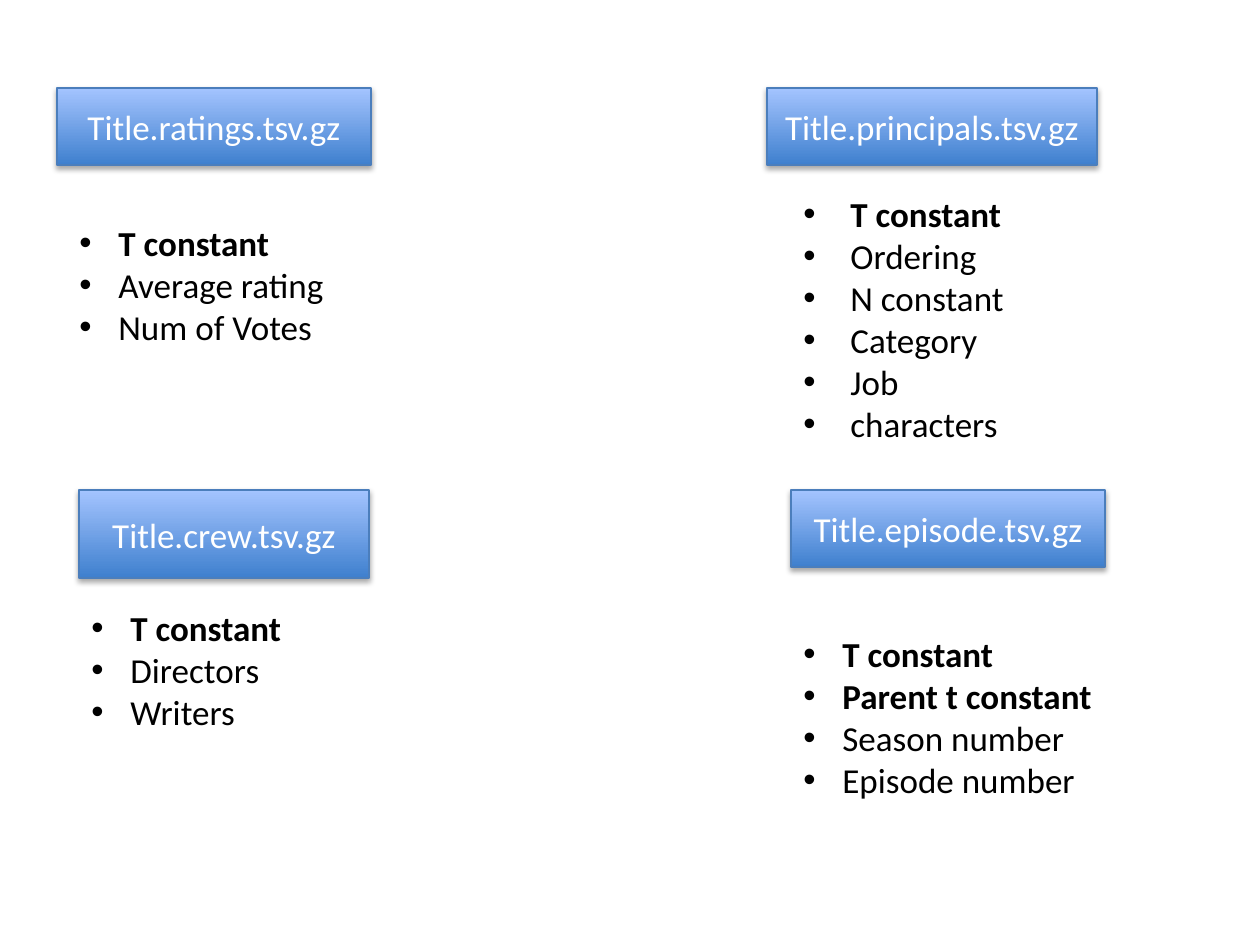
import lxml.etree
import pptx
import pptx.dml.color
import pptx.enum.dml
import pptx.enum.shapes
import pptx.enum.text
import pptx.oxml
import pptx.oxml.ns
import pptx.util

SCALE = 914400 / 126
COLOURS = {
    "bottom": "3F80CE",
    "top": "A4C4FF",
    "edge": "4B7EBC",
    "heading": "FFFFFF",
    "body": "000000",
}
SHADOW = (
    '<a:outerShdw xmlns:a="http://schemas.openxmlformats.org/drawingml/2006/main" '
    'blurRad="40000" dist="23000" dir="5400000" rotWithShape="0">'
    '<a:srgbClr val="000000"><a:alpha val="35000"/></a:srgbClr></a:outerShdw>'
)
FILES = [
    ("Title.ratings.tsv.gz", (57, 88, 314, 77), (67, 215, 273, 140), 39,
     ["T constant"], ["Average rating", "Num of Votes"]),
    ("Title.principals.tsv.gz", (767, 88, 330, 77), (791, 186, 321, 267), 47,
     ["T constant"], ["Ordering", "N constant", "Category", "Job", "characters"]),
    ("Title.crew.tsv.gz", (79, 490, 290, 88), (79, 600, 352, 178), 39,
     ["T constant"], ["Directors", "Writers"]),
    ("Title.episode.tsv.gz", (791, 490, 314, 77), (791, 626, 338, 183), 39,
     ["T constant", "Parent t constant"], ["Season number", "Episode number"]),
]


def emu(pixels):
    return pptx.util.Emu(round(pixels * SCALE))


def add_span(para, text, colour, bold=False):
    span = para.add_run()
    span.text = text
    span.font.name = "Calibri"
    span.font.size = pptx.util.Pt(20)
    span.font.bold = bold
    span.font.color.rgb = pptx.dml.color.RGBColor.from_string(COLOURS[colour])


deck = pptx.Presentation()
deck.slide_width = emu(1260)
deck.slide_height = emu(945)
page = deck.slides.add_slide(deck.slide_layouts[6])

for name, heading_place, list_place, indent, keys, fields in FILES:
    heading = page.shapes.add_shape(
        pptx.enum.shapes.MSO_SHAPE.RECTANGLE, *map(emu, heading_place))
    heading.fill.gradient()
    heading.fill.gradient_angle = 90
    for stop, colour in zip(heading.fill.gradient_stops, ("bottom", "top")):
        stop.color.rgb = pptx.dml.color.RGBColor.from_string(COLOURS[colour])
    heading.line.color.rgb = pptx.dml.color.RGBColor.from_string(COLOURS["edge"])
    heading.line.width = pptx.util.Pt(0.75)
    heading.shadow.inherit = False
    effects = heading.element.spPr.find(pptx.oxml.ns.qn("a:effectLst"))
    effects.append(pptx.oxml.parse_xml(SHADOW))
    heading.text_frame.vertical_anchor = pptx.enum.text.MSO_ANCHOR.MIDDLE
    para = heading.text_frame.paragraphs[0]
    para.alignment = pptx.enum.text.PP_ALIGN.CENTER
    add_span(para, name, "heading")

    box = page.shapes.add_textbox(*map(emu, list_place))
    frame = box.text_frame
    frame.word_wrap = True
    frame.auto_size = pptx.enum.text.MSO_AUTO_SIZE.SHAPE_TO_FIT_TEXT
    for index, field in enumerate(keys + fields):
        para = frame.add_paragraph() if index else frame.paragraphs[0]
        settings = para._p.get_or_add_pPr()
        settings.set("marL", str(emu(indent)))
        settings.set("indent", str(-emu(indent)))
        font = lxml.etree.SubElement(settings, pptx.oxml.ns.qn("a:buFont"))
        font.set("typeface", "Arial")
        bullet = lxml.etree.SubElement(settings, pptx.oxml.ns.qn("a:buChar"))
        bullet.set("char", "•")
        add_span(para, field, "body", field in keys)

deck.save("out.pptx")
